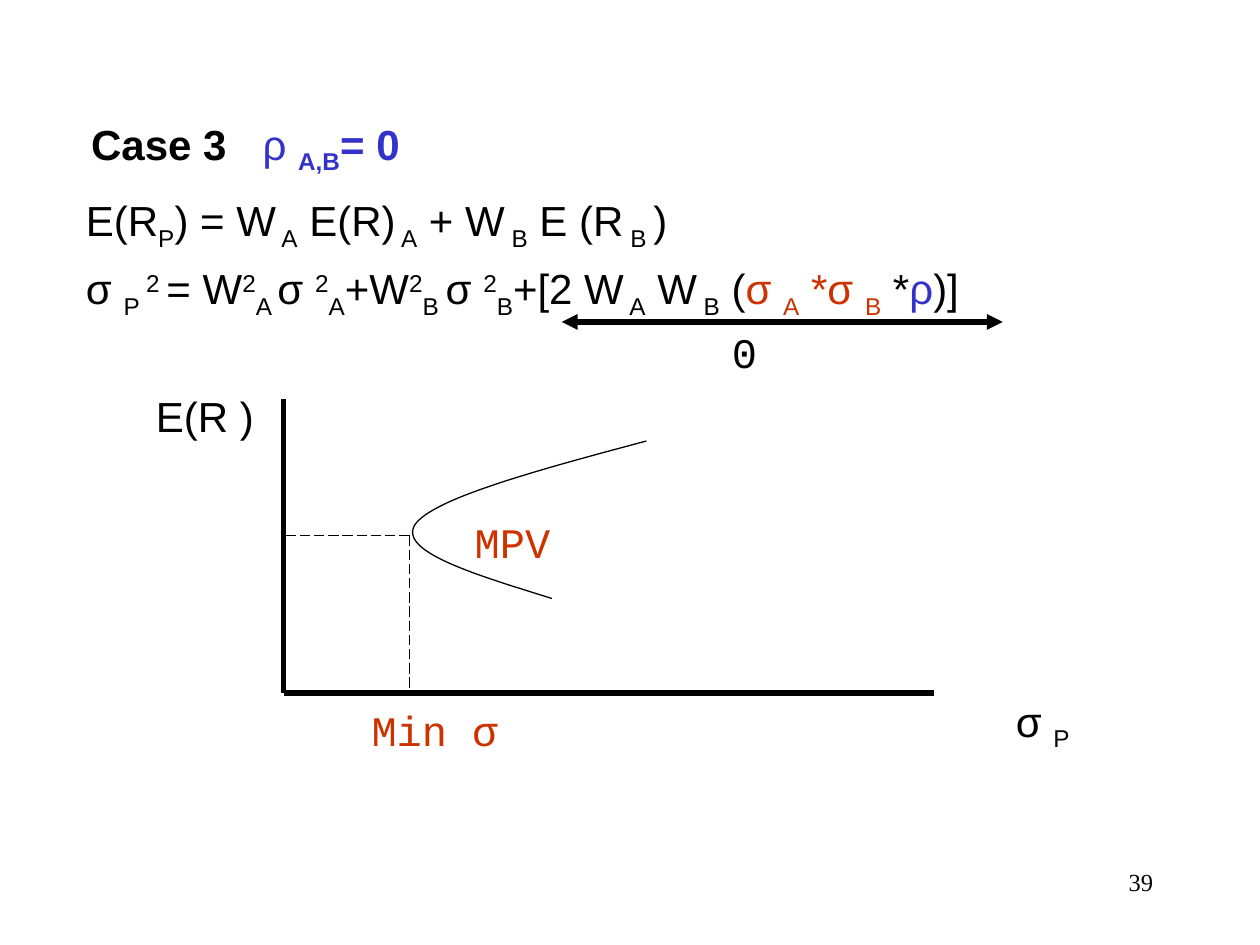
import pptx
import pptx.dml.color
import pptx.enum.dml
import pptx.enum.text
import pptx.oxml
import pptx.oxml.ns
import pptx.util
from lxml import etree

Pt = pptx.util.Pt
RGBColor = pptx.dml.color.RGBColor
ALIGN = pptx.enum.text.PP_ALIGN
ANCHOR = pptx.enum.text.MSO_ANCHOR
DASH = pptx.enum.dml.MSO_LINE.LONG_DASH
qn = pptx.oxml.ns.qn

BLACK = RGBColor(0x00, 0x00, 0x00)
BLUE = RGBColor(0x33, 0x33, 0xCC)
RED = RGBColor(0xCC, 0x33, 0x00)

NORMAL, SUB, SUPER = 0, -25, 30


class SlideWriter:
    text_format = {"name": "Arial", "size": Pt(24), "bold": False}

    def __init__(self, page):
        self.page = page

    def apply(self, target, values):
        for name, value in values.items():
            setattr(target, name, value)

    def text(self, left, top, width, height, lines, color=BLACK, tab=None,
             frame_format=None, paragraph_format=None, font_format=None):
        box = self.page.shapes.add_textbox(Pt(left), Pt(top), Pt(width), Pt(height))
        frame = box.text_frame
        self.apply(frame, {"word_wrap": True, **(frame_format or {})})
        for index, spans in enumerate(lines):
            para = frame.add_paragraph() if index else frame.paragraphs[0]
            if tab:
                stops = etree.SubElement(para._p.get_or_add_pPr(), qn("a:tabLst"))
                etree.SubElement(stops, qn("a:tab"), pos=str(Pt(tab)), algn="l")
            self.apply(para, paragraph_format or {})
            if index:
                para.space_before = Pt(6)
            for span in spans:
                self.span(para, color, font_format or {}, *span)

    def span(self, para, default_color, font_format, content, shift=NORMAL,
             color=None, bold=None):
        span = para.add_run()
        span.text = content
        values = {**self.text_format, **font_format}
        if bold is not None:
            values["bold"] = bold
        self.apply(span.font, values)
        span.font.color.rgb = color or default_color
        if shift:
            span._r.get_or_add_rPr().set("baseline", str(shift * 1000))

    def line(self, start, end, width=3, dash=None, arrows=False):
        line = self.page.shapes.add_connector(
            pptx.enum.shapes.MSO_CONNECTOR.STRAIGHT, *map(Pt, start + end))
        line.line.color.rgb = BLACK
        self.apply(line.line, {"width": Pt(width), "dash_style": dash})
        if arrows:
            outline = line.line._get_or_add_ln()
            for tag in ("a:headEnd", "a:tailEnd"):
                etree.SubElement(outline, qn(tag), type="triangle")
        etree.SubElement(line._element.spPr, qn("a:effectLst"))

    def curve(self, segments, steps=30):
        points = [segments[0][0]]
        for controls in segments:
            for step in range(1, steps + 1):
                t = step / steps
                weights = ((1 - t) ** 3, 3 * t * (1 - t) ** 2,
                           3 * t ** 2 * (1 - t), t ** 3)
                points.append(tuple(
                    sum(weight * point[axis] for weight, point in zip(weights, controls))
                    for axis in (0, 1)))
        points = [(Pt(x), Pt(y)) for x, y in points]
        builder = self.page.shapes.build_freeform(*points[0])
        builder.add_line_segments(points[1:], close=False)
        curve = builder.convert_to_shape()
        curve.shadow.inherit = False
        curve.fill.background()
        curve.line.color.rgb = BLACK
        curve.line.width = Pt(0.75)


def main():
    deck = pptx.Presentation()
    deck.slide_width, deck.slide_height = Pt(720), Pt(540)
    writer = SlideWriter(deck.slides.add_slide(deck.slide_layouts[6]))

    writer.text(45, 72, 261, 24, [[
        ("Case 3\t",), ("ρ ", NORMAL, BLUE, False), ("A,B", SUB, BLUE),
        ("= 0", NORMAL, BLUE)]], tab=98,
        frame_format={"vertical_anchor": ANCHOR.MIDDLE}, font_format={"bold": True})

    expected_return = [
        ("E(R",), ("P", SUB), (") = W",), (" A", SUB), (" E(R)",), (" A", SUB),
        (" + W",), (" B", SUB), (" E (R",), (" B ", SUB), (")",)]
    variance = [
        ("σ ",), ("P ", SUB), ("2 ", SUPER), ("= W",), ("2", SUPER), ("A ", SUB),
        ("σ ",), ("2", SUPER), ("A", SUB), ("+W",), ("2", SUPER), ("B ", SUB),
        ("σ ",), ("2", SUPER), ("B", SUB), ("+[2 W",), (" A", SUB), (" W",),
        (" B", SUB), (" (",), ("σ ", NORMAL, RED), ("A", SUB, RED),
        (" *σ ", NORMAL, RED), ("B", SUB, RED), (" *",), ("ρ", NORMAL, BLUE), (")]",)]
    writer.text(42, 107.8, 636, 80, [expected_return, variance])
    writer.text(82, 219.5, 75, 36, [[("E(R )",)]])
    writer.text(573.4, 393.6, 60, 40, [[("σ ",), ("P", SUB)]])

    left, right, top, bottom = 162, 534, 228, 396
    minimum = (234, 306)
    writer.line((right, bottom), (left, bottom))
    writer.line((left, bottom), (left, top))
    writer.curve([
        [(369.4, 252), (307.4, 268.6), (246.2, 285.1), (236.9, 300.2)],
        [(236.9, 300.2), (228.2, 315.4), (271.4, 328.3), (315.4, 342)]])
    for end in ((minimum[0], bottom), (left, minimum[1])):
        writer.line(minimum, end, width=0.75, dash=DASH)
    writer.line((321, 184), (573, 184), arrows=True)

    for content, x, y, width, color in (
            ("Min σ", 205.2, 395.3, 96, RED),
            ("MPV", 264.2, 288, 96, RED),
            ("0", 411.1, 179.3, 72, BLACK)):
        writer.text(x, y, width, 36, [[(content,)]], color,
                    frame_format={"margin_top": Pt(7.2)},
                    font_format={"name": "Courier New"})

    writer.text(516, 492, 150, 36, [[("39",)]],
                paragraph_format={"alignment": ALIGN.RIGHT},
                font_format={"name": "Times New Roman", "size": Pt(14)})

    deck.save("out.pptx")


if __name__ == "__main__":
    main()
